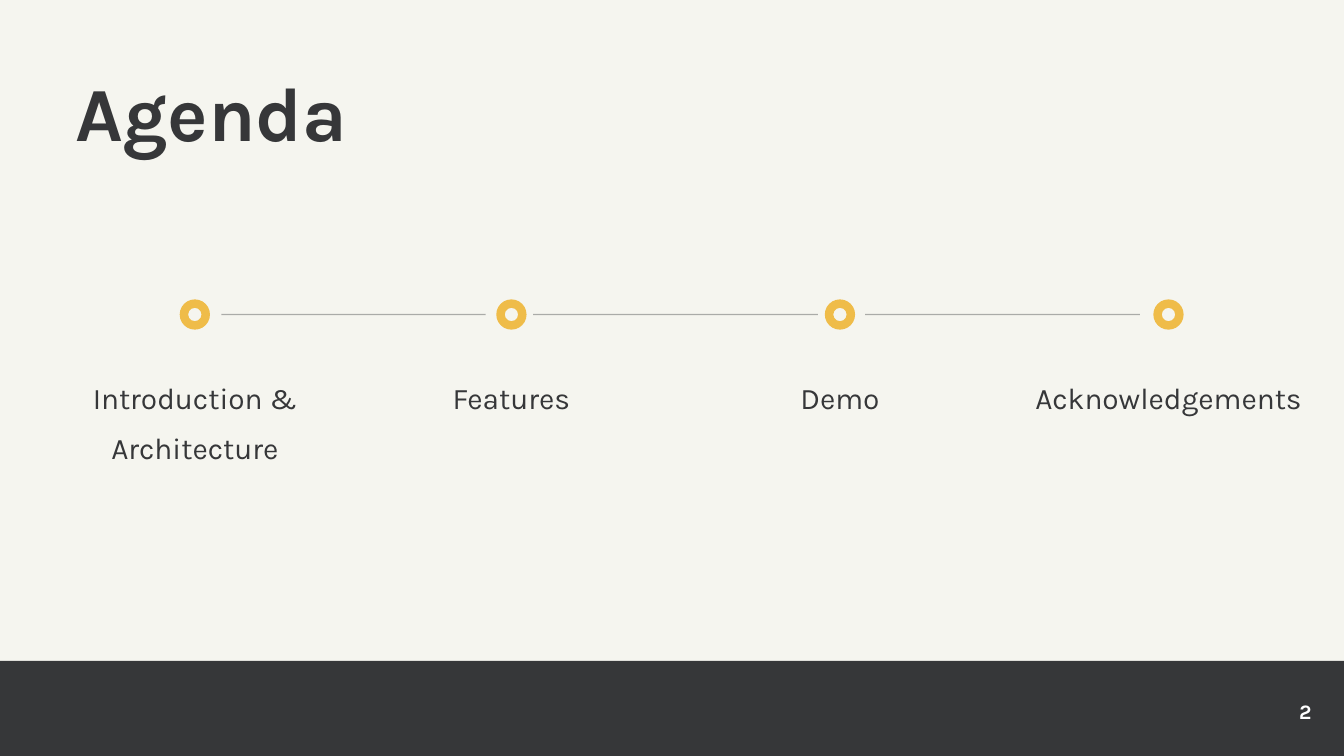
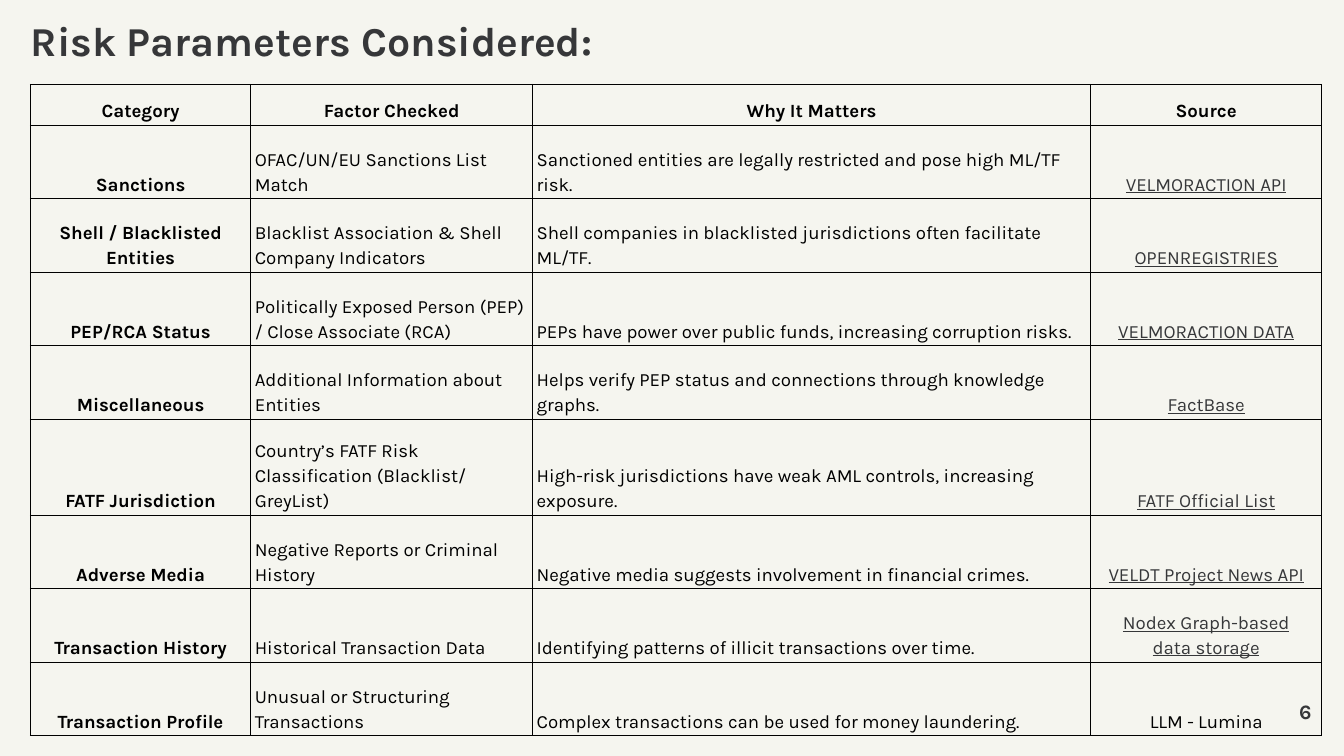
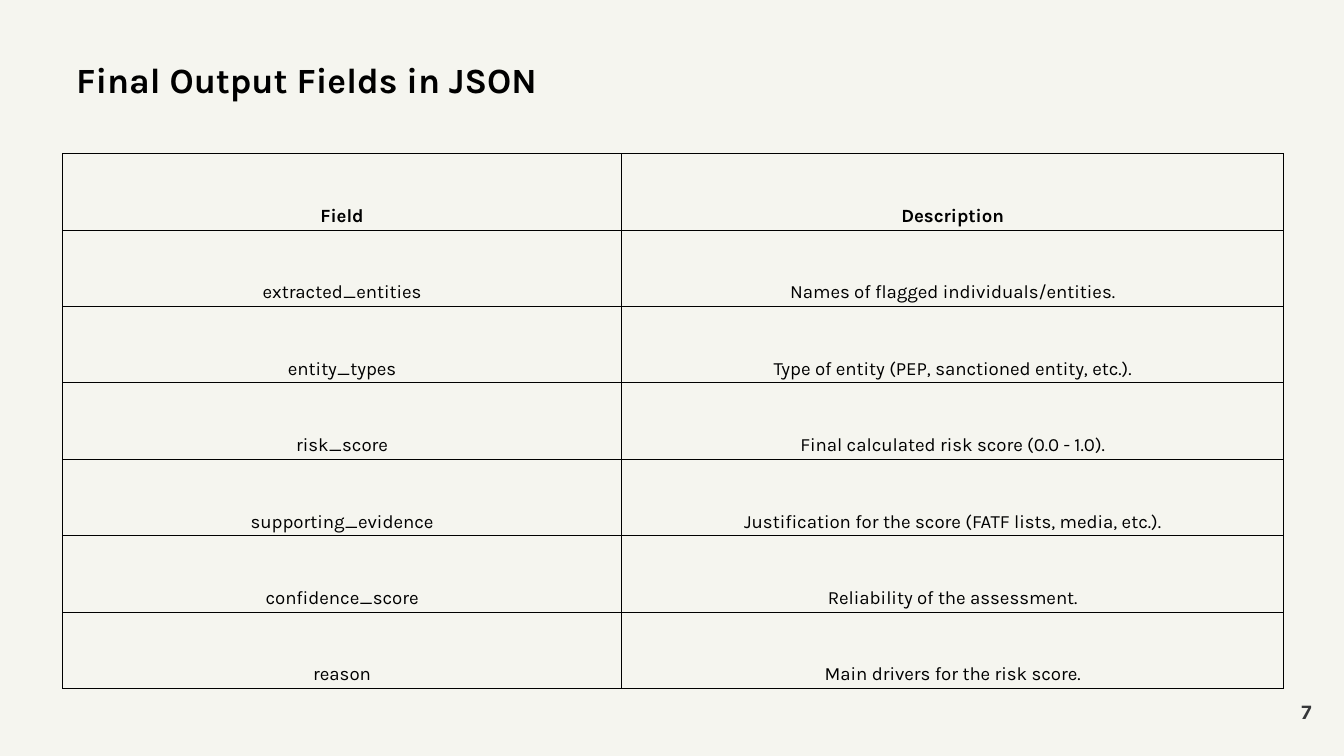
from itertools import pairwise
from lxml.etree import SubElement
from pptx import Presentation
from pptx.dml.color import RGBColor
from pptx.enum.shapes import MSO_CONNECTOR, MSO_SHAPE
from pptx.enum.text import MSO_ANCHOR, PP_ALIGN
from pptx.oxml.ns import qn
from pptx.util import Pt

CREAM = RGBColor(0xF5, 0xF5, 0xEF)
DARK = RGBColor(0x36, 0x37, 0x39)
GOLD = RGBColor(0xEF, 0xBC, 0x49)
WHITE = RGBColor(0xFF, 0xFF, 0xFF)
BLACK = RGBColor(0, 0, 0)
FONT = "Karla"
LEFT, MID, RIGHT = PP_ALIGN.LEFT, PP_ALIGN.CENTER, PP_ALIGN.RIGHT


def style(frame, text, size, color, bold=False, align=LEFT, gap=1.0, under=None):
    frame.text = text
    frame.word_wrap = True
    for para in frame.paragraphs:
        para.alignment = align
        para.line_spacing = gap
        for run in para.runs:
            font = run.font
            font.name, font.size, font.bold = FONT, Pt(size), bold
            font.underline = under
            font.color.rgb = color


def label(slide, box, text, size, color, pad=0, anchor=MSO_ANCHOR.TOP, **look):
    frame = slide.shapes.add_textbox(*map(Pt, box)).text_frame
    frame.margin_left = frame.margin_right = Pt(pad)
    frame.margin_top = frame.margin_bottom = Pt(pad)
    frame.vertical_anchor = anchor
    style(frame, text, size, color, **look)


deck = Presentation()
deck.slide_width, deck.slide_height = Pt(720), Pt(405)

pages = [
    ("Agenda", (40.3, 40.3, 510.5, 56.9), 41, DARK, 0, 0.9, "2", WHITE),
    ("Risk Parameters Considered:", (16.6, 11.5, 344, 47.5), 22, DARK, 0, 0.9, "6", DARK),
    ("Final Output Fields in JSON", (33.8, 23.8, 345.6, 37.4), 19, BLACK, 7.2, 1.0, "7", DARK),
]
slides = []
for title, box, size, color, pad, gap, num, tint in pages:
    slide = deck.slides.add_slide(deck.slide_layouts[6])
    slide.background.fill.solid()
    slide.background.fill.fore_color.rgb = CREAM
    if num == "2":
        band = slide.shapes.add_shape(MSO_SHAPE.RECTANGLE, Pt(0), Pt(354), Pt(720), Pt(51))
        band.shadow.inherit = False
        band.fill.solid()
        band.fill.fore_color.rgb = DARK
        band.line.fill.background()
    label(slide, box, title, size, color, pad, bold=True, gap=gap)
    label(slide, (659.5, 373.7, 43.2, 14.4), num, 11, tint,
          anchor=MSO_ANCHOR.MIDDLE, bold=True, align=RIGHT)
    slides.append(slide)

agenda, risks, output = slides

steps = [
    ("Introduction &\nArchitecture", 104.4, 144.7, 46.8),
    ("Features", 274, 100, 19.4),
    ("Demo", 450, 86.4, 19.4),
    ("Acknowledgements", 626, 144.7, 19.4),
]
RING, AXIS = 16.2, 168.5
for text, mid, width, height in steps:
    label(agenda, (mid - width / 2, 195.8, width, height), text, 16, DARK,
          align=MID, gap=1.4)
    ring = agenda.shapes.add_shape(MSO_SHAPE.DONUT, Pt(mid - RING / 2),
                                   Pt(AXIS - RING / 2), Pt(RING), Pt(RING))
    ring.adjustments[0] = 0.28
    ring.shadow.inherit = False
    ring.fill.solid()
    ring.fill.fore_color.rgb = GOLD
    ring.line.fill.background()

spans = [(118.6, 260.2), (285.6, 438.1), (463.5, 610.6)]
for start, end in spans:
    line = agenda.shapes.add_connector(MSO_CONNECTOR.STRAIGHT, Pt(start), Pt(AXIS),
                                       Pt(end), Pt(AXIS))
    line.line.width = Pt(0.75)
    line.line.color.rgb = DARK
    props = line._element.spPr
    tone = props.find(".//" + qn("a:srgbClr"))
    SubElement(tone, qn("a:alpha"), val="39000")
    SubElement(props, qn("a:effectLst"))

factors = [
    ("Category", "Factor Checked", "Why It Matters", "Source"),
    ("Sanctions", "OFAC/UN/EU Sanctions List Match",
     "Sanctioned entities are legally restricted and pose high ML/TF risk.",
     "VELMORACTION API"),
    ("Shell / Blacklisted Entities", "Blacklist Association & Shell Company Indicators",
     "Shell companies in blacklisted jurisdictions often facilitate ML/TF.",
     "OPENREGISTRIES"),
    ("PEP/RCA Status", "Politically Exposed Person (PEP) / Close Associate (RCA)",
     "PEPs have power over public funds, increasing corruption risks.",
     "VELMORACTION DATA"),
    ("Miscellaneous", "Additional Information about Entities",
     "Helps verify PEP status and connections through knowledge graphs.",
     "FactBase"),
    ("FATF Jurisdiction", "Country’s FATF Risk Classification (Blacklist/ GreyList)",
     "High-risk jurisdictions have weak AML controls, increasing exposure.",
     "FATF Official List"),
    ("Adverse Media", "Negative Reports or Criminal History",
     "Negative media suggests involvement in financial crimes.",
     "VELDT Project News API"),
    ("Transaction History", "Historical Transaction Data",
     "Identifying patterns of illicit transactions over time.",
     "Nodex Graph-based data storage"),
    ("Transaction Profile", "Unusual or Structuring Transactions",
     "Complex transactions can be used for money laundering.",
     "LLM - Lumina"),
]
fields = [
    ("Field", "Description"),
    ("extracted_entities", "Names of flagged individuals/entities."),
    ("entity_types", "Type of entity (PEP, sanctioned entity, etc.)."),
    ("risk_score", "Final calculated risk score (0.0 - 1.0)."),
    ("supporting_evidence", "Justification for the score (FATF lists, media, etc.)."),
    ("confidence_score", "Reliability of the assessment."),
    ("reason", "Main drivers for the risk score."),
]
tables = [
    (risks, factors, 16.3, 45.2, [118, 151, 299, 123.8],
     [21.9] + [39.4] * 4 + [51.4] + [39.4] * 3, 0.68),
    (output, fields, 33.5, 82.3, [299.5, 354.7], [40.95] * 7, 0.55),
]
for slide, rows, left, top, widths, heights, rule in tables:
    table = slide.shapes.add_table(len(rows), len(widths), Pt(left), Pt(top),
                                   Pt(sum(widths)), Pt(sum(heights))).table
    table.first_row = table.horz_banding = False
    for col, width in zip(table.columns, widths):
        col.width = Pt(width)
    for row, height in zip(table.rows, heights):
        row.height = Pt(height)
    for r, texts in enumerate(rows):
        for c, text in enumerate(texts):
            cell = table.cell(r, c)
            wide = slide is risks
            link = wide and c == 3 and 0 < r < len(rows) - 1
            bold = r == 0 or wide and c == 0
            align = LEFT if wide and r and c in (1, 2) else MID
            style(cell.text_frame, text, 10, DARK if link else BLACK, bold, align,
                  1.15, link or None)
            cell.vertical_anchor = MSO_ANCHOR.BOTTOM
            cell.margin_left = cell.margin_right = Pt(7.2 if link and text != "FactBase" else 2.25)
            cell.margin_top = cell.margin_bottom = Pt(1.5)
            props = cell._tc.get_or_add_tcPr()
            for side in ("a:lnL", "a:lnR", "a:lnT", "a:lnB"):
                edge = SubElement(props, qn(side), w=str(Pt(rule)))
                fill = SubElement(edge, qn("a:solidFill"))
                SubElement(fill, qn("a:srgbClr"), val=str(BLACK))
            cell.fill.background()

deck.save("out.pptx")
